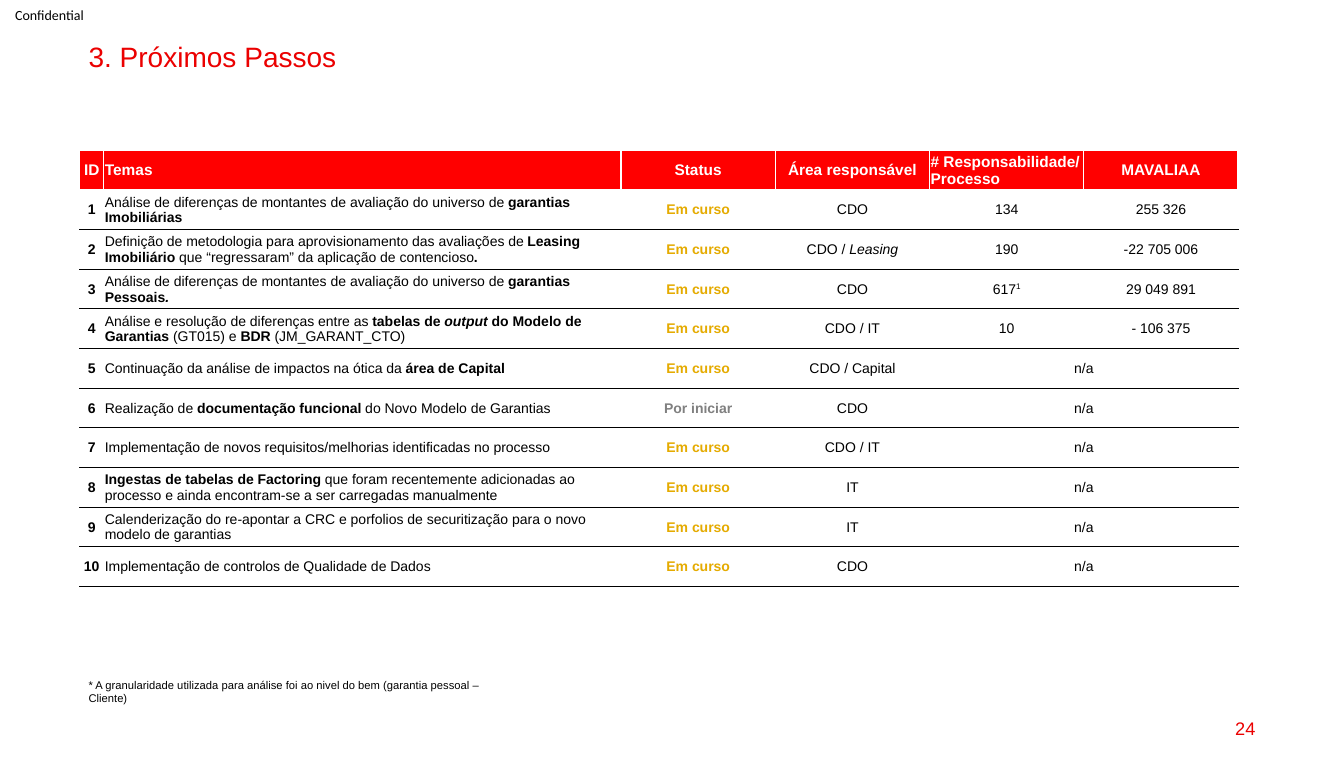
import pptx
import pptx.dml.color
import pptx.enum.text
import pptx.oxml.ns
import pptx.util
from lxml import etree

Inches, Pt = pptx.util.Inches, pptx.util.Pt
ALIGN, ANCHOR = pptx.enum.text.PP_ALIGN, pptx.enum.text.MSO_ANCHOR
COLOURS = {"title": "EB0000", "header": "FF0000", "white": "FFFFFF",
           "black": "000000", "Em curso": "E5AB00", "Por iniciar": "808080"}

deck = pptx.Presentation()
deck.slide_width, deck.slide_height = Inches(13.33), Inches(7.76)
page = deck.slides.add_slide(deck.slide_layouts[6])


def write(frame, spans, size, colour, align=ALIGN.LEFT, font="Arial"):
    """Fill the first paragraph with (text, style) spans; b bold, i italic, ^ superscript."""
    para = frame.paragraphs[0]
    para.alignment = align
    para.font.name, para.font.size = font, Pt(size)
    para.font.color.rgb = pptx.dml.color.RGBColor.from_string(COLOURS[colour])
    for text, style in spans:
        span = para.add_run()
        span.text = text
        span.font.bold, span.font.italic = "b" in style, "i" in style
        if "^" in style:
            span.font._element.set("baseline", "30000")
    return para


def draw_borders(cell, borders):
    """Set cell borders given as (side, colour, points) in the order L, R, T, B."""
    properties = cell._tc.get_or_add_tcPr()
    for position, (side, colour, points) in enumerate(borders):
        line = etree.Element(pptx.oxml.ns.qn(f"a:ln{side}"), w=str(Pt(points)))
        fill = etree.SubElement(line, pptx.oxml.ns.qn("a:solidFill"))
        etree.SubElement(fill, pptx.oxml.ns.qn("a:srgbClr"), val=COLOURS[colour])
        properties.insert(position, line)


# Text around the table: bounds, text, size, colour, alignment, font, anchor, left inset
texts = [
    ((0, 0, 0.99, 0.29), "Confidential", 10, "black", ALIGN.LEFT, "Calibri", ANCHOR.MIDDLE, 0.15),
    ((0.78, 0.38, 11.77, 0.34), "3. Próximos Passos", 20, "title", ALIGN.LEFT, "Arial", ANCHOR.TOP, 0.1),
    ((9.55, 7.02, 3, 0.41), "24", 13, "title", ALIGN.RIGHT, "Arial", ANCHOR.MIDDLE, 0.1),
    ((0.78, 6.74, 4.28, 0.24),
     "* A granularidade utilizada para análise foi ao nivel do bem (garantia pessoal – Cliente)",
     8, "black", ALIGN.LEFT, "Arial", ANCHOR.MIDDLE, 0.1),
]
for bounds, text, size, colour, align, font, anchor, inset in texts:
    frame = page.shapes.add_textbox(*map(Inches, bounds)).text_frame
    frame.word_wrap = True
    frame.vertical_anchor = anchor
    frame.margin_left = Inches(inset)
    para = write(frame, [(text, "")], size, colour, align, font)
    if colour == "title" and anchor == ANCHOR.TOP:
        para.line_spacing = 0.9

headers = ["ID", "Temas", "Status", "Área responsável", "# Responsabilidade/ Processo", "MAVALIAA"]
differences = ("Análise de diferenças de montantes de avaliação do universo de ", "")
# Theme, status, responsible area, then count and amount where they apply
steps = [
    ([differences, ("garantias Imobiliárias", "b")],
     "Em curso", [("CDO", "")], [("134", "")], [("255 326", "")]),
    ([("Definição de metodologia para aprovisionamento das avaliações de ", ""),
      ("Leasing Imobiliário ", "b"), ("que “regressaram” da aplicação de contencioso", ""), (".", "b")],
     "Em curso", [("CDO / ", ""), ("Leasing", "i")], [("190", "")], [("-22 705 006", "")]),
    ([differences, ("garantias Pessoais", "b"), (".", "bi")],
     "Em curso", [("CDO", "")], [("617", ""), ("1", "^")], [("29 049 891", "")]),
    ([("Análise e resolução de diferenças entre as ", ""), ("tabelas de ", "b"), ("output ", "bi"),
      ("do Modelo de Garantias ", "b"), ("(GT015) e ", ""), ("BDR", "b"), (" (JM_GARANT_CTO)", "")],
     "Em curso", [("CDO / IT", "")], [("10", "")], [("- 106 375", "")]),
    ([("Continuação da análise de impactos na ótica da ", ""), ("área de Capital", "b")],
     "Em curso", [("CDO / Capital", "")]),
    ([("Realização de ", ""), ("documentação funcional", "b"), (" do Novo Modelo de Garantias", "")],
     "Por iniciar", [("CDO", "")]),
    ([("Implementação de novos requisitos/melhorias identificadas no processo", "")],
     "Em curso", [("CDO / IT", "")]),
    ([("Ingestas de tabelas de Factoring ", "b"),
      ("que foram recentemente adicionadas ao processo e ainda encontram-se a ser carregadas manualmente", "")],
     "Em curso", [("IT", "")]),
    ([("Calenderização do re-apontar a CRC e porfolios de securitização para o novo modelo de garantias", "")],
     "Em curso", [("IT", "")]),
    ([("Implementação de controlos de Qualidade de Dados", "")],
     "Em curso", [("CDO", "")]),
]

widths = [0.24, 5.13] + [1.53] * 4
table = page.shapes.add_table(len(steps) + 1, len(widths), Inches(0.79), Inches(1.49),
                              Inches(sum(widths)), Inches(4.33)).table
table.first_row = table.horz_banding = False
for column, width in zip(table.columns, widths):
    column.width = Inches(width)

for cell in table.iter_cells():
    cell.vertical_anchor = ANCHOR.MIDDLE
    cell.margin_left = cell.margin_right = cell.margin_top = Inches(0.01)
    cell.margin_bottom = 0
    cell.fill.background()

for column, header in enumerate(headers):
    cell = table.cell(0, column)
    cell.fill.solid()
    cell.fill.fore_color.rgb = pptx.dml.color.RGBColor.from_string(COLOURS["header"])
    align = ALIGN.LEFT if column in (1, 4) else ALIGN.CENTER
    write(cell.text_frame, [(header, "b")], 11, "white", align)
    draw_borders(cell, [(side, "white", 1) for side in "LRTB"])

for row, (theme, status, area, *figures) in enumerate(steps, start=1):
    contents = [[(str(row), "b")], theme, [(status, "b")], area, *(figures or [[("n/a", "")]])]
    for column, spans in enumerate(contents):
        write(table.cell(row, column).text_frame, spans, 10,
              status if column == 2 else "black",
              ALIGN.LEFT if column == 1 else ALIGN.CENTER)
    top = ("T", "white", 1) if row == 1 else ("T", "black", 0.5)
    for column in range(len(widths)):
        draw_borders(table.cell(row, column),
                     [("L", "white", 1), ("R", "white", 1), top, ("B", "black", 0.5)])
    if not figures:
        table.cell(row, 4).merge(table.cell(row, 5))

deck.save("out.pptx")
